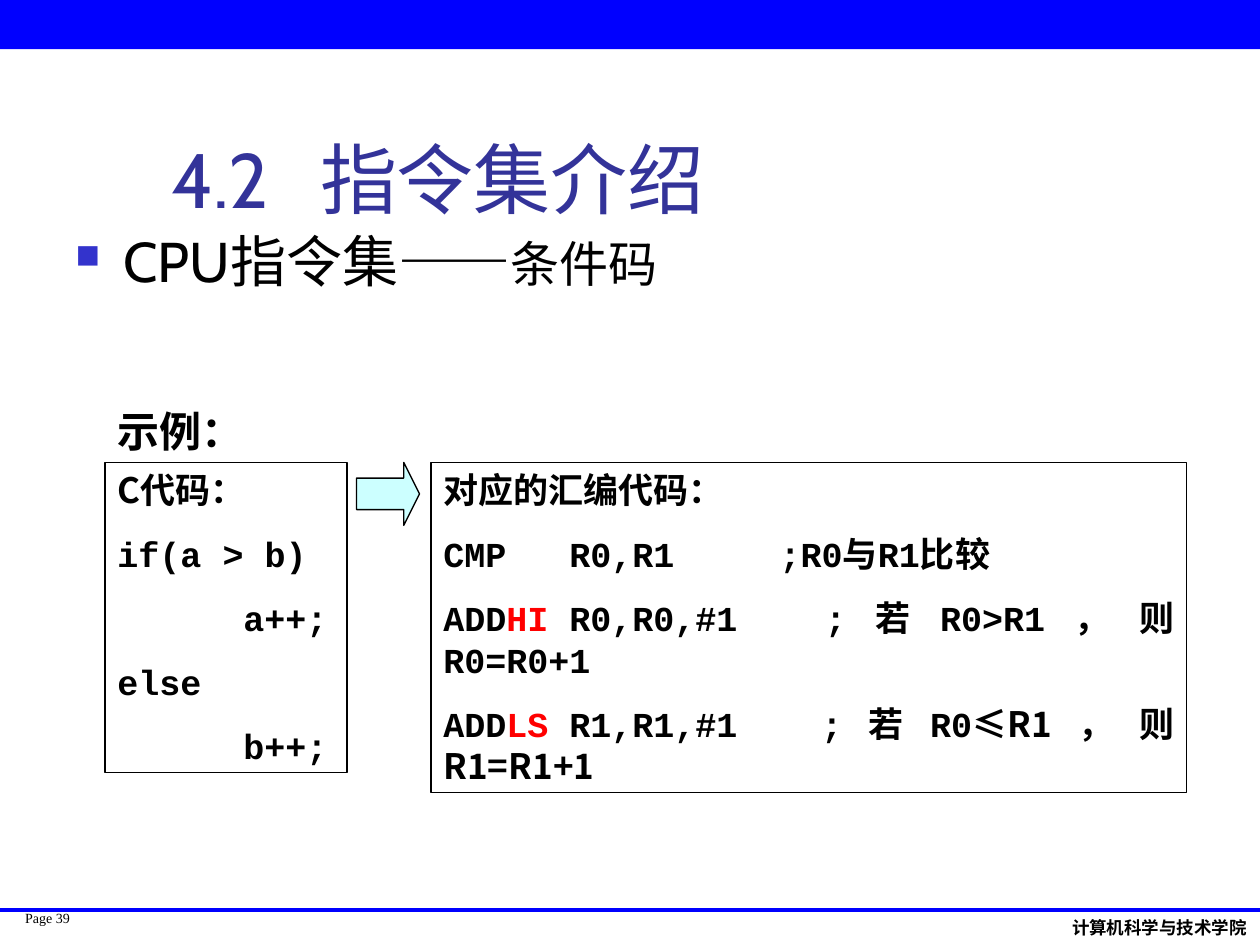
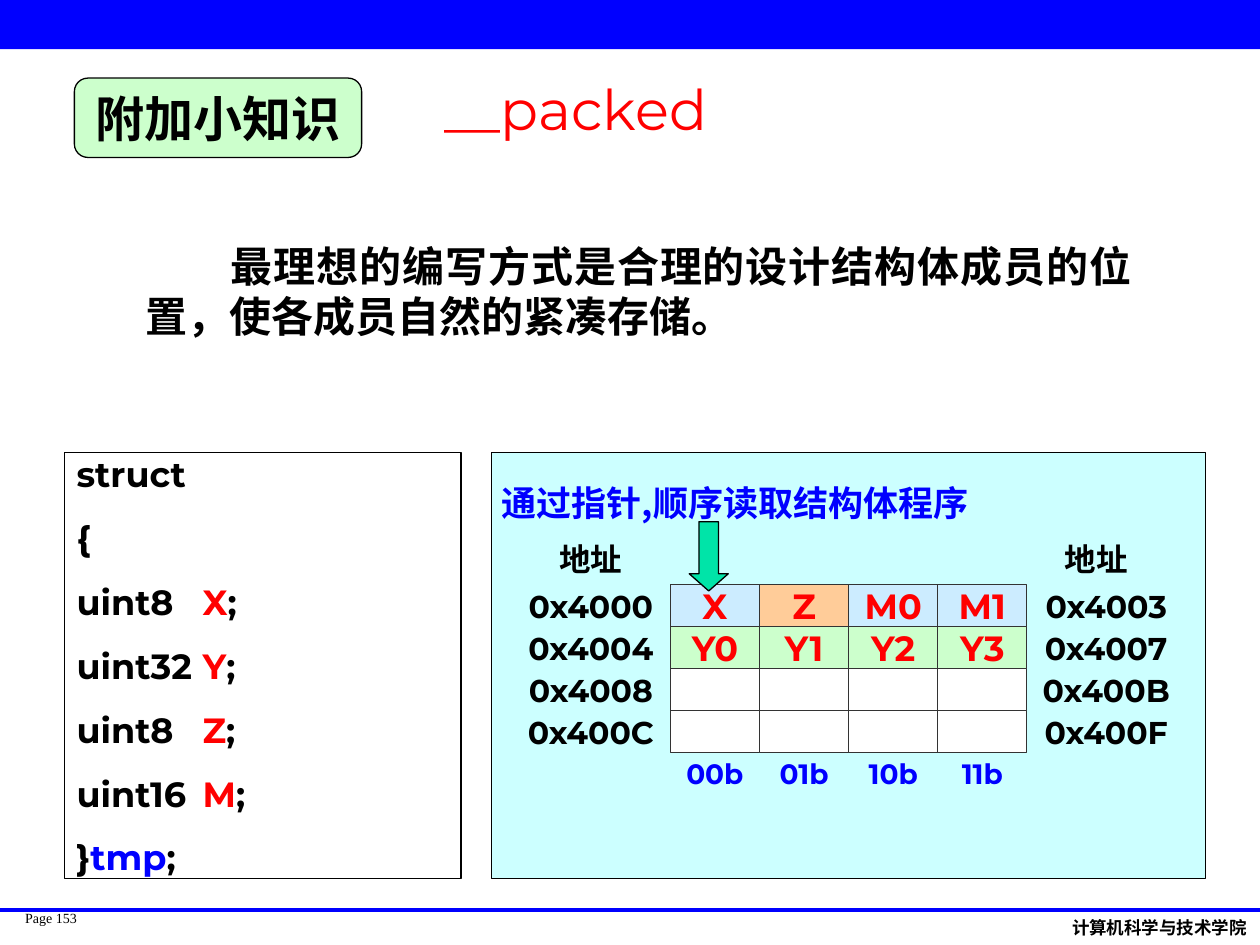
from lxml.etree import SubElement
from pptx import Presentation
from pptx.dml.color import RGBColor
from pptx.enum.shapes import MSO_CONNECTOR, MSO_SHAPE as SHAPE
from pptx.enum.text import MSO_ANCHOR as ANCHOR, MSO_AUTO_SIZE, PP_ALIGN as ALIGN
from pptx.oxml.ns import qn
from pptx.util import Inches, Pt

BLACK = RGBColor(0x00, 0x00, 0x00)
WHITE = RGBColor(0xFF, 0xFF, 0xFF)
GRAY = RGBColor(0x33, 0x33, 0x33)
BLUE = RGBColor(0x00, 0x00, 0xFF)
RED = RGBColor(0xFF, 0x00, 0x00)
INDIGO = RGBColor(0x33, 0x33, 0x99)
BULLET = RGBColor(0x33, 0x33, 0xCC)
CYAN = RGBColor(0xCC, 0xFF, 0xFF)
GREEN = RGBColor(0xCC, 0xFF, 0xCC)
SKY = RGBColor(0xCC, 0xEC, 0xFF)
ORANGE = RGBColor(0xFF, 0xCC, 0x99)
TEAL = RGBColor(0x00, 0xE4, 0xA8)

CABIN, MONO, MONT = "Cabin", "Courier New", "Montserrat"
SERIF, CJK, CJK_JP = "Times New Roman", "Noto Sans CJK SC", "Noto Sans CJK JP"

W, H = 10, 7.5
FOOT_Y = 7.22
DEPARTMENT = "计算机科学与技术学院"

C_CODE = [[("C代码：", {"font": CJK_JP})], "if(a > b)", "\ta++;", "else", "\tb++;"]
ASM_CODE = [
    "对应的汇编代码：",
    "CMP\tR0,R1\t;R0与R1比较",
    ["ADD", ("HI", {"color": RED}), "\tR0,R0,#1\t;若R0>R1，则R0=R0+1"],
    ["ADD", ("LS", {"color": RED}), "\tR1,R1,#1\t;若R0",
     ("≤R1，则R1=R1+1", {"font": CJK})],
]
ASM_TABS = [(1,), (1, 2.67), (1, 3.03), (1, 3)]

FIELDS = [("uint8", "X"), ("uint32", "Y"), ("uint8", "Z"), ("uint16", "M")]
STRUCT = (["struct", "{"]
          + [[f"{kind}\t", (name, {"color": RED}), ";"] for kind, name in FIELDS]
          + [["}", ("tmp", {"color": BLUE}), ";"]])

MEMORY = [
    ("0x4000", [("X", SKY), ("Z", ORANGE), ("M0", SKY), ("M1", SKY)], "0x4003"),
    ("0x4004", [("Y0", GREEN), ("Y1", GREEN), ("Y2", GREEN), ("Y3", GREEN)], "0x4007"),
    ("0x4008", [("", WHITE)] * 4, "0x400B"),
    ("0x400C", [("", WHITE)] * 4, "0x400F"),
]
BYTE_LABELS = ["00b", "01b", "10b", "11b"]
MAP_X, MAP_Y = 5.32, 4.64
CELL_W, CELL_H, ADDRESS_W = 2.83 / 4, 1 / 3, 1.26


def write(tf, paras, size=20, font=CABIN, color=BLACK, bold=False, align=ALIGN.LEFT,
          anchor=ANCHOR.TOP, wrap=True, gap=0, inset=(0.1, 0.05), indent=None,
          bullet=None, tabs=None):
    tf.auto_size = MSO_AUTO_SIZE.NONE
    tf.word_wrap = wrap
    tf.vertical_anchor = anchor
    tf.margin_left = tf.margin_right = Inches(inset[0])
    tf.margin_top = tf.margin_bottom = Inches(inset[1])
    for i, runs in enumerate([paras] if isinstance(paras, str) else paras):
        p = tf.add_paragraph() if i else tf.paragraphs[0]
        p.alignment = align
        p.space_before = Pt(gap if i else 0)
        pPr = p._p.get_or_add_pPr()
        pPr.set("defTabSz", str(Inches(1)))
        if indent:
            pPr.set("marL", str(Inches(indent[0])))
            pPr.set("indent", str(Inches(indent[1])))
        if bullet:
            clr = SubElement(pPr, qn("a:buClr"))
            SubElement(clr, qn("a:srgbClr"), val=str(BULLET))
            SubElement(pPr, qn("a:buSzPct"), val="60000")
            SubElement(pPr, qn("a:buChar"), char=bullet)
        if tabs:
            stops = SubElement(pPr, qn("a:tabLst"))
            for stop in tabs[min(i, len(tabs) - 1)]:
                SubElement(stops, qn("a:tab"), pos=str(Inches(stop)), algn="l")
        for run in [runs] if isinstance(runs, str) else runs:
            text, own = (run, {}) if isinstance(run, str) else run
            fmt = {"size": size, "font": font, "color": color, **own}
            r = p.add_run()
            r.text = text
            r.font.size = Pt(fmt["size"])
            r.font.name = fmt["font"]
            r.font.bold = bold
            r.font.color.rgb = fmt["color"]
            ea = CJK_JP if fmt["font"] == CJK_JP else CJK
            SubElement(r._r.get_or_add_rPr(), qn("a:ea"), typeface=ea)


def place(sp, x, y, w, h):
    sp.left, sp.top, sp.width, sp.height = map(Inches, (x, y, w, h))


def label(s, at, text, **fmt):
    write(s.shapes.add_textbox(*map(Inches, at)).text_frame, text, **fmt)


def shape(s, kind, at, fill=None, line=BLACK, text="", adj=(), **fmt):
    sp = s.shapes.add_shape(kind, *map(Inches, at))
    sp.shadow.inherit = False
    if fill is None:
        sp.fill.background()
    else:
        sp.fill.solid()
        sp.fill.fore_color.rgb = fill
    if line is None:
        sp.line.fill.background()
    else:
        sp.line.color.rgb = line
        sp.line.width = Pt(0.75)
    for i, value in enumerate(adj):
        sp.adjustments[i] = value
    if text:
        write(sp.text_frame, text, **fmt)


def new_slide(prs, page, title, at, **fmt):
    s = prs.slides.add_slide(prs.slide_layouts[5])
    label(s, (0.2, FOOT_Y, 0.51, 0.27), f"Page {page}", size=8, font=SERIF,
          inset=(0, 0), wrap=False)
    label(s, (8.41, FOOT_Y + 0.01, 1.59, 0.27), DEPARTMENT, size=10, bold=True,
          wrap=False)
    shape(s, SHAPE.RECTANGLE, (0, 0, W, 0.39), BLUE, None)
    rule = s.shapes.add_connector(MSO_CONNECTOR.STRAIGHT, 0, Inches(FOOT_Y),
                                  Inches(W), Inches(FOOT_Y))
    rule.line.color.rgb = BLUE
    rule.line.width = Pt(2.25)
    SubElement(rule._element.spPr, qn("a:effectLst"))
    place(s.shapes.title, *at)
    write(s.shapes.title.text_frame, title, **fmt)
    return s


def condition_codes(prs):
    s = new_slide(prs, 39, "4.2\t指令集介绍", (1.26, 0.23, 8.52, 1.6), size=44,
                  color=INDIGO, anchor=ANCHOR.BOTTOM, tabs=[(1.18,)])
    label(s, (0.5, 1.75, 9, 0.82), [["CPU指令集——", ("条件码", {"size": 28})]],
          size=32, indent=(0.38, -0.38), bullet="■")
    left, top = W / 12, 3.67
    code = dict(font=MONO, bold=True, align=ALIGN.JUSTIFY, gap=12.5)
    shape(s, SHAPE.RECTANGLE, (left, top, 1.92, 2.46), text=C_CODE, tabs=[(1,)], **code)
    shape(s, SHAPE.RECTANGLE, (3.42, top, 6, 2.62), text=ASM_CODE, tabs=ASM_TABS, **code)
    shape(s, SHAPE.RIGHT_ARROW, (2.83, top, 0.5, 0.5), CYAN, adj=(0.5, 0.25))
    label(s, (left, top - 0.5, 2.5, 0.5), "示例：", size=24, font=SERIF, bold=True)


def memory_map(s):
    centred = dict(font=MONT, bold=True, align=ALIGN.CENTER, anchor=ANCHOR.MIDDLE,
                   wrap=False)
    left_x, right_x = MAP_X - ADDRESS_W, MAP_X + 4 * CELL_W
    for row, (first, cells, last) in enumerate(MEMORY):
        y = MAP_Y + row * CELL_H
        for col, (name, fill) in enumerate(cells):
            shape(s, SHAPE.RECTANGLE, (MAP_X + col * CELL_W, y, CELL_W, CELL_H), fill,
                  GRAY, name, color=RED, **centred)
        for x, address in ((left_x, first), (right_x, last)):
            label(s, (x, y, ADDRESS_W, CELL_H), address, size=18, **centred)
    for col, bits in enumerate(BYTE_LABELS):
        label(s, (MAP_X + col * CELL_W, MAP_Y + 4 * CELL_H, CELL_W, CELL_H), bits,
              size=16, color=BLUE, **centred)
    for x in (left_x, right_x - 0.08):
        label(s, (x, 4.27, ADDRESS_W, CELL_H), "地址", size=18, **centred)
    shape(s, SHAPE.DOWN_ARROW, (5.47, 4.14, 0.31, 0.55), TEAL, adj=(0.5, 0.44))
    label(s, (4.14, 3.75, 3.39, 0.47), "通过指针,顺序读取结构体程序",
          color=BLUE, **{**centred, "font": CJK})


def packed_struct(prs):
    s = new_slide(prs, 153, "__packed", (3.43, 0.54, 3.86, 0.75), size=32,
                  font=MONT, color=RED)
    top, height = 3.59, 3.38
    shape(s, SHAPE.RECTANGLE, (0.51, top, 3.15, height), WHITE, text=STRUCT, font=MONT,
          bold=True, anchor=ANCHOR.MIDDLE, gap=12.5, tabs=[(1,)])
    shape(s, SHAPE.RECTANGLE, (3.9, top, 5.67, height), CYAN)
    memory_map(s)
    label(s, (1.06, 1.86, 8.02, 0.9),
          "最理想的编写方式是合理的设计结构体成员的位置，使各成员自然的紧凑存储。",
          size=24, font=CJK, bold=True, align=ALIGN.JUSTIFY, indent=(0, 0.67))
    shape(s, SHAPE.ROUNDED_RECTANGLE, (0.59, 0.62, 2.28, 0.63), GREEN,
          text="附加小知识", adj=(0.17,), size=28, font=CJK, bold=True,
          align=ALIGN.CENTER, anchor=ANCHOR.MIDDLE, wrap=False)


def main():
    prs = Presentation()
    prs.slide_width, prs.slide_height = Inches(W), Inches(H)
    condition_codes(prs)
    packed_struct(prs)
    prs.save("out.pptx")


if __name__ == "__main__":
    main()
